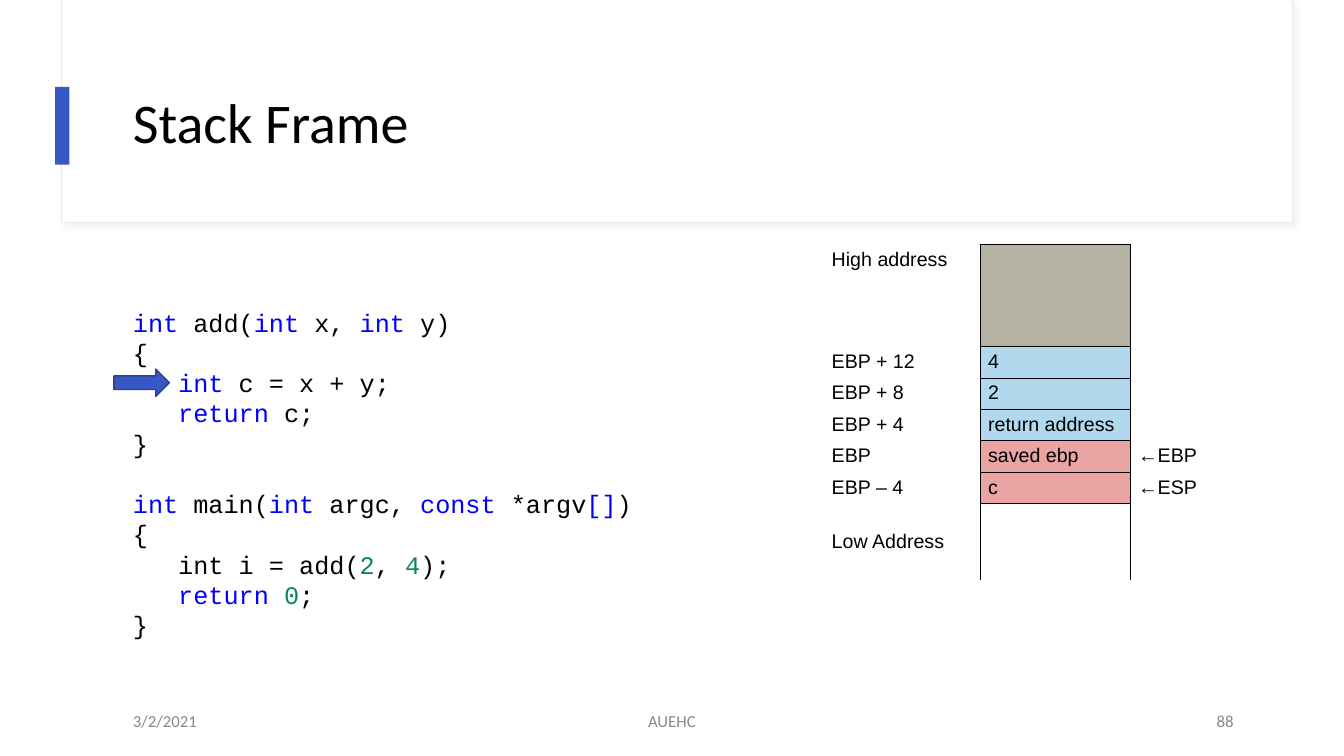
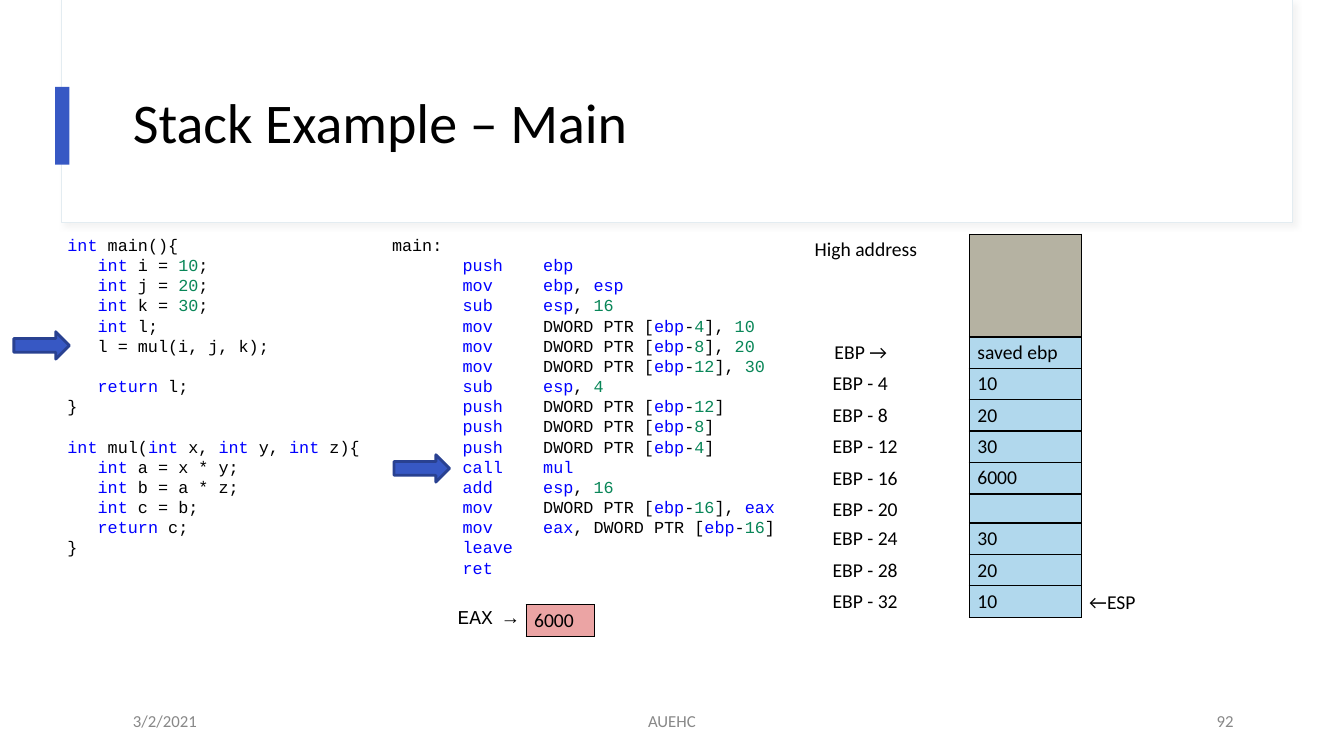
"""Build two slides on stack frames, with code listings and memory tables."""
from dataclasses import dataclass
from itertools import groupby
from typing import Optional

import lxml.etree
import pptx
import pptx.dml.color
import pptx.enum.shapes
import pptx.enum.text
import pptx.oxml.ns
import pptx.presentation
import pptx.shapes.autoshape
import pptx.slide
import pptx.table
import pptx.text.text
import pptx.util

Cm = pptx.util.Cm
Pt = pptx.util.Pt
RGBColor = pptx.dml.color.RGBColor
Align = pptx.enum.text.PP_ALIGN
Anchor = pptx.enum.text.MSO_ANCHOR
Shape = pptx.enum.shapes.MSO_SHAPE
qn = pptx.oxml.ns.qn

BLACK = RGBColor(0x00, 0x00, 0x00)
WHITE = RGBColor(0xFF, 0xFF, 0xFF)
GREY = RGBColor(0x88, 0x88, 0x88)
PALE = RGBColor(0xE3, 0xEC, 0xF1)
SHADE = RGBColor(0xD8, 0xD8, 0xD8)
ROYAL = RGBColor(0x37, 0x58, 0xC4)
NAVY = RGBColor(0x29, 0x41, 0x91)
STONE = RGBColor(0xB5, 0xB2, 0xA2)
SKY = RGBColor(0xB1, 0xD8, 0xED)
ROSE = RGBColor(0xEB, 0xA4, 0xA4)
BLUE = RGBColor(0x00, 0x00, 0xFF)
GREEN = RGBColor(0x09, 0x86, 0x58)

SANS = "Calibri"
ARIAL = "Arial"
MONO = "Courier New"
NO_GRID = "{2D5ABB26-0587-4C30-8999-92F81FD0307C}"
STEP = 0.79
TALL = 2.57


@dataclass(frozen=True)
class Box:
    """A place on the slide, in centimetres."""
    left: float
    top: float
    width: float
    height: float

    def place(self) -> tuple[int, int, int, int]:
        """Give the four lengths in slide units."""
        return Cm(self.left), Cm(self.top), Cm(self.width), Cm(self.height)


@dataclass(frozen=True)
class Row:
    """One row of a memory table; the filled cell is the boxed one."""
    texts: tuple[str, ...]
    fill: Optional[RGBColor] = SKY
    height: float = STEP
    anchor: Anchor = Anchor.TOP


@dataclass(frozen=True)
class Stack:
    """A memory table whose boxed column is given by its index."""
    left: float
    top: float
    widths: tuple[float, ...]
    rows: list[Row]
    font: str = SANS
    boxed: Optional[int] = 1


@dataclass(frozen=True)
class Code:
    """A code listing with the words to colour and a line left plain."""
    box: Box
    size: int
    words: set[str]
    text: str
    plain: str = ""
    tabs: tuple[float, ...] = ()


@dataclass(frozen=True)
class Page:
    """The content of one slide."""
    title: str
    number: str
    codes: list[Code]
    stacks: list[Stack]
    arrows: list[tuple[float, float]]
    stroke: float


C_WORDS = {"int", "const", "return", "[]"}
ASM_WORDS = set("push mov sub call add leave ret ebp esp eax mul".split())

ADD_CODE = """int add(int x, int y)
{
   int c = x + y;
   return c;
}

int main(int argc, const *argv[])
{
   int i = add(2, 4);
   return 0;
}"""

MAIN_CODE = """int main(){
   int i = 10;
   int j = 20;
   int k = 30;
   int l;
   l = mul(i, j, k);

   return l;
}

int mul(int x, int y, int z){
   int a = x * y;
   int b = a * z;
   int c = b;
   return c;
}"""

ASM_CODE = """main:
\tpush\tebp
\tmov\tebp, esp
\tsub\tesp, 16
\tmov\tDWORD PTR [ebp-4], 10
\tmov\tDWORD PTR [ebp-8], 20
\tmov\tDWORD PTR [ebp-12], 30
\tsub\tesp, 4
\tpush\tDWORD PTR [ebp-12]
\tpush\tDWORD PTR [ebp-8]
\tpush\tDWORD PTR [ebp-4]
\tcall\tmul
\tadd\tesp, 16
\tmov\tDWORD PTR [ebp-16], eax
\tmov\teax, DWORD PTR [ebp-16]
\tleave
\tret"""

WIDE = (3.94, 3.78, 3.94)
FRAME = [
    [Row(("EBP + 12", "4", ""))],
    [Row(("EBP + 8", "2", ""))],
    [Row(("EBP + 4", "return address", ""))],
    [Row(("EBP", "saved ebp", "←EBP"), ROSE)],
    [Row(("EBP – 4", "c", "←ESP"), ROSE),
     Row(("Low Address", "", ""), None, 1.93, Anchor.MIDDLE)],
]
FRAMES = [
    Stack(20.76, 6.16, WIDE, [Row(("High address", "", ""), STONE, TALL)], ARIAL),
    *(Stack(20.76, 8.74 + STEP * n, WIDE, rows, ARIAL) for n, rows in enumerate(FRAME)),
]

PAIR = (3.65, 2.82)
LOCALS = ["saved ebp", "10", "20", "30", "6000"]
PUSHED = ["30", "20", "10"]
MEMORY = [
    Stack(20.33, 5.9, (4.11, 2.82), [Row(("High address", ""), STONE, TALL)]),
    Stack(20.78, 9.28, PAIR, [Row((f"EBP - {4 * n}", "")) for n in range(1, 5)]),
    *(Stack(24.43, 8.49 + STEP * n, (2.82,), [Row((value,))], boxed=0)
      for n, value in enumerate(LOCALS)),
    Stack(20.78, 12.45, PAIR, [Row(("EBP - 20", ""))]),
    *(Stack(20.78, 13.18 + STEP * n, PAIR, [Row((f"EBP - {24 + 4 * n}", value))])
      for n, value in enumerate(PUSHED)),
    Stack(11.33, 15.22, (1.93,), [Row(("EAX →",), None)], MONO, None),
    Stack(13.26, 15.24, (1.73,), [Row(("6000",), ROSE)], boxed=0),
    Stack(20.83, 8.49, (2.82,), [Row(("EBP →",), None)], boxed=None),
    Stack(27.25, 14.78, (2.39,), [Row(("←ESP",), None)], boxed=None),
]

PAGES = [
    Page("Stack Frame", "88",
         [Code(Box(3.1, 7.61, 16.94, 8.71), 18, C_WORDS, ADD_CODE, "int i = add(2, 4);")],
         FRAMES, [(2.87, 9.3)], 1),
    Page("Stack Example – Main", "92",
         [Code(Box(1.45, 5.79, 8.89, 8.46), 12, C_WORDS, MAIN_CODE),
          Code(Box(9.63, 5.79, 11.68, 8.97), 12, ASM_WORDS, ASM_CODE, tabs=(1.78, 3.81))],
         MEMORY, [(9.93, 11.46), (0.35, 8.36)], 2),
]


def style(par: pptx.text.text._Paragraph, font: str, size: int, color: RGBColor) -> None:
    """Set the font of a paragraph."""
    par.font.name, par.font.size = font, Pt(size)
    par.font.color.rgb = color


def draw_shape(slide: pptx.slide.Slide, kind: Shape, box: Box, fill: RGBColor,
               line: Optional[RGBColor] = None,
               stroke: float = 0) -> pptx.shapes.autoshape.Shape:
    """Add a filled shape without a shadow."""
    shape = slide.shapes.add_shape(kind, *box.place())
    shape.shadow.inherit = False
    shape.fill.solid()
    shape.fill.fore_color.rgb = fill
    if line is None:
        shape.line.fill.background()
    else:
        shape.line.color.rgb = line
        shape.line.width = Pt(stroke)
    return shape


def draw_text(slide: pptx.slide.Slide, box: Box, text: str, size: int,
              color: RGBColor, align: Align = Align.LEFT, space: float = 1.0) -> None:
    """Add a line of text centred in its height."""
    frame = slide.shapes.add_textbox(*box.place()).text_frame
    frame.word_wrap = True
    frame.vertical_anchor = Anchor.MIDDLE
    par = frame.paragraphs[0]
    par.text, par.alignment, par.line_spacing = text, align, space
    style(par, SANS, size, color)


def draw_base(slide: pptx.slide.Slide, title: str, number: str) -> None:
    """Draw the title card and the footer."""
    card = draw_shape(slide, Shape.RECTANGLE, Box(1.55, 0, 31.03, 5.61), WHITE, PALE, 0.75)
    effects = card._element.spPr.find(qn("a:effectLst"))
    shadow = lxml.etree.SubElement(effects, qn("a:outerShdw"), blurRad=str(Pt(4)),
                                   dist=str(Pt(3)), dir="2700000", algn="tl")
    tint = lxml.etree.SubElement(shadow, qn("a:srgbClr"), val=str(SHADE))
    lxml.etree.SubElement(tint, qn("a:alpha"), val="30000")
    draw_shape(slide, Shape.RECTANGLE, Box(1.57, 0, 30.99, 5.59), WHITE)
    draw_shape(slide, Shape.RECTANGLE, Box(1.39, 2.19, 0.36, 1.96), ROYAL)
    draw_text(slide, Box(3.1, 1.52, 28.24, 3.28), title, 40, BLACK, space=0.9)
    for left, width, text, align in ((3.1, 7.62, "3/2/2021", Align.LEFT),
                                     (11.22, 11.43, "AUEHC", Align.CENTER),
                                     (23.72, 7.62, number, Align.RIGHT)):
        draw_text(slide, Box(left, 17.65, width, 1.02), text, 12, GREY, align)


def sort_char(char: str) -> str:
    """Name the kind of a character in code."""
    return "word" if char.isalnum() else "bracket" if char in "[]" else "other"


def draw_code(slide: pptx.slide.Slide, code: Code) -> None:
    """Add a listing with coloured words and numbers."""
    frame = slide.shapes.add_textbox(*code.box.place()).text_frame
    frame.word_wrap = True
    pitch = Pt(code.size * 1.2)
    par, gap = frame.paragraphs[0], False
    for index, line in enumerate(code.text.splitlines()):
        if not line:
            gap = True
            continue
        if index:
            par = frame.add_paragraph()
        par.line_spacing = pitch
        if gap:
            par.space_before, gap = pitch, False
        if code.tabs:
            stops = lxml.etree.SubElement(par._p.get_or_add_pPr(), qn("a:tabLst"))
            for stop in code.tabs:
                lxml.etree.SubElement(stops, qn("a:tab"), pos=str(Cm(stop)), algn="l")
        style(par, MONO, code.size, BLACK)
        words = set() if line.strip() == code.plain else code.words
        for _, chars in groupby(line, sort_char):
            run = par.add_run()
            run.text = part = "".join(chars)
            run.font.color.rgb = (BLUE if part in words
                                  else GREEN if part.isdigit() else BLACK)


def fill_cell(cell: pptx.table._Cell, text: str, font: str, anchor: Anchor,
              sides: str, fill: Optional[RGBColor]) -> None:
    """Set the text, borders and fill of a cell."""
    cell.margin_left = cell.margin_right = Cm(0.2)
    cell.margin_top = cell.margin_bottom = Cm(0.1)
    cell.vertical_anchor = anchor
    par = cell.text_frame.paragraphs[0]
    par.text = text
    style(par, font, 14, BLACK)
    if not text:
        lxml.etree.SubElement(par._p, qn("a:endParaRPr"), sz="1400")
    for side in sides:
        edge = lxml.etree.SubElement(cell._tc.get_or_add_tcPr(), qn(f"a:ln{side}"),
                                     w=str(Pt(1)))
        paint = lxml.etree.SubElement(edge, qn("a:solidFill"))
        lxml.etree.SubElement(paint, qn("a:srgbClr"), val=str(BLACK))
    if fill is None:
        cell.fill.background()
    else:
        cell.fill.solid()
        cell.fill.fore_color.rgb = fill


def draw_stack(slide: pptx.slide.Slide, stack: Stack) -> None:
    """Add a memory table."""
    box = Box(stack.left, stack.top, sum(stack.widths), sum(r.height for r in stack.rows))
    table = slide.shapes.add_table(len(stack.rows), len(stack.widths), *box.place()).table
    table.first_row = table.horz_banding = False
    table._tbl.tblPr.find(qn("a:tableStyleId")).text = NO_GRID
    for column, width in zip(table.columns, stack.widths):
        column.width = Cm(width)
    for line, row in zip(table.rows, stack.rows):
        line.height = Cm(row.height)
        for index, (cell, text) in enumerate(zip(line.cells, row.texts)):
            sides, fill = "", None
            if index == stack.boxed:
                sides, fill = "LRTB" if row.fill else "LRT", row.fill
            elif stack.boxed is not None:
                sides = "R" if index < stack.boxed else "L"
            fill_cell(cell, text, stack.font, row.anchor, sides, fill)


def draw_page(deck: pptx.presentation.Presentation, page: Page) -> None:
    """Add one slide."""
    slide = deck.slides.add_slide(deck.slide_layouts[6])
    draw_base(slide, page.title, page.number)
    for code in page.codes:
        draw_code(slide, code)
    for stack in page.stacks:
        draw_stack(slide, stack)
    for left, top in page.arrows:
        draw_shape(slide, Shape.RIGHT_ARROW, Box(left, top, 1.4, 0.69), ROYAL, NAVY, page.stroke)


def main() -> None:
    """Build and save the deck."""
    deck = pptx.Presentation()
    deck.slide_width, deck.slide_height = Cm(33.87), Cm(19.05)
    for page in PAGES:
        draw_page(deck, page)
    deck.save("out.pptx")


if __name__ == "__main__":
    main()
